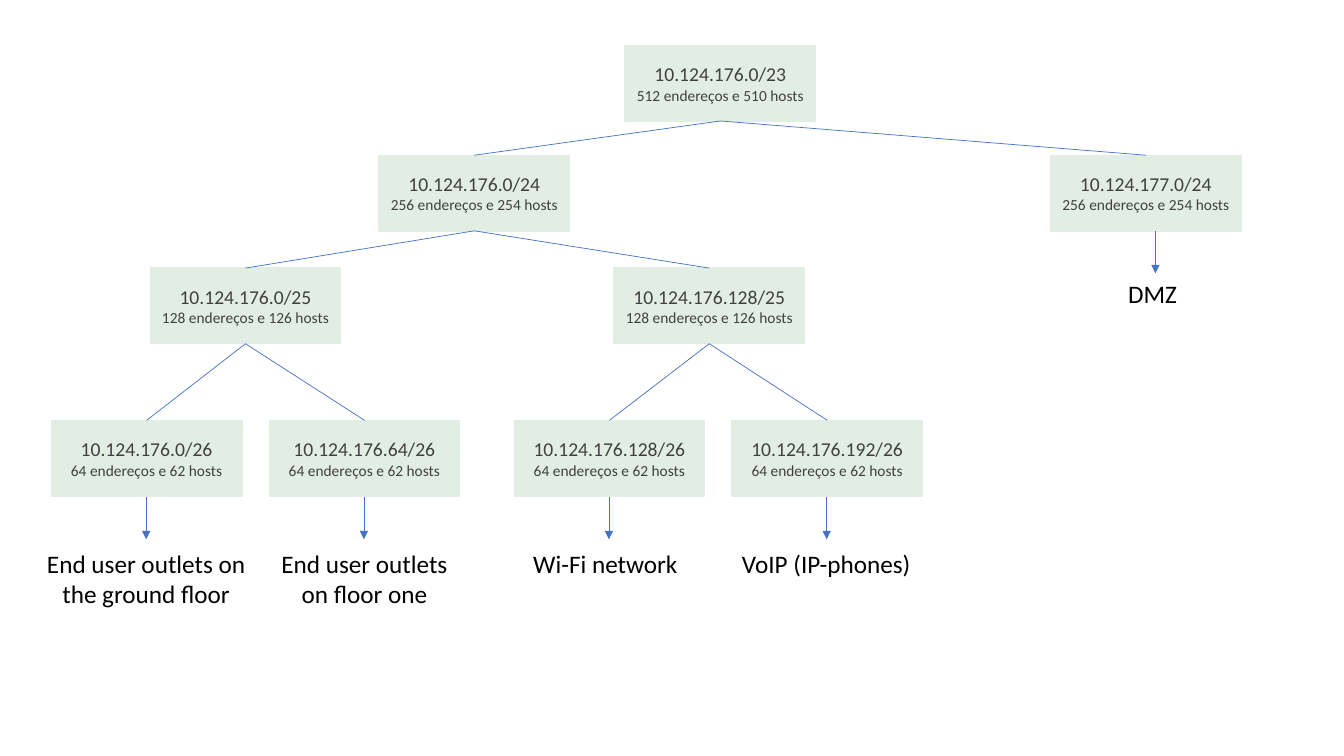
from lxml import etree
from pptx import Presentation
from pptx.dml.color import RGBColor
from pptx.enum.shapes import MSO_CONNECTOR as CONN, MSO_SHAPE as SHAPE
from pptx.enum.text import MSO_ANCHOR as ANCHOR, MSO_AUTO_SIZE as AUTO, PP_ALIGN as ALIGN
from pptx.oxml.ns import qn
from pptx.util import Inches, Pt

GREEN = RGBColor(0xE2, 0xEE, 0xE3)
GREY = RGBColor(0x40, 0x40, 0x40)
BLACK = RGBColor(0, 0, 0)
BLUE = RGBColor(0x44, 0x72, 0xC4)

BOX_W, BOX_H = 1.89, 0.75
ARROW_H = 0.42
TOP_SITE, BOTTOM_SITE = 0, 2


class SubnetSlide:
    font = "Calibri"

    def __init__(self, prs):
        self.shapes = prs.slides.add_slide(prs.slide_layouts[6]).shapes

    def set_text(self, p, text, size, color, align):
        p.text = text
        p.alignment = align
        p.font.name = self.font
        p.font.size = Pt(size)
        p.font.color.rgb = color

    def box(self, left, top, network, prefix):
        sp = self.shapes.add_shape(SHAPE.RECTANGLE, Inches(left), Inches(top),
                                   Inches(BOX_W), Inches(BOX_H))
        sp.shadow.inherit = False
        sp.fill.solid()
        sp.fill.fore_color.rgb = GREEN
        sp.line.color.rgb = GREEN
        sp.line.width = Pt(1)
        tf = sp.text_frame
        tf.word_wrap = True
        tf.vertical_anchor = ANCHOR.MIDDLE
        size = 2 ** (32 - prefix)
        self.set_text(tf.paragraphs[0], f"{network}/{prefix}", 14, GREY, ALIGN.CENTER)
        self.set_text(tf.add_paragraph(), f"{size} endereços e {size - 2} hosts",
                      11, GREY, ALIGN.CENTER)
        return sp

    def label(self, left, top, width, height, text, align):
        sp = self.shapes.add_textbox(Inches(left), Inches(top), Inches(width), Inches(height))
        tf = sp.text_frame
        tf.word_wrap = True
        tf.auto_size = AUTO.SHAPE_TO_FIT_TEXT
        self.set_text(tf.paragraphs[0], text, 18, BLACK, align)

    def line(self, x1=0, y1=0, x2=0, y2=0):
        cx = self.shapes.add_connector(CONN.STRAIGHT, Inches(x1), Inches(y1),
                                       Inches(x2), Inches(y2))
        cx.line.color.rgb = BLUE
        cx.line.width = Pt(0.5)
        etree.SubElement(cx._element.spPr, qn("a:effectLst"))
        return cx

    def branch(self, parent, child):
        cx = self.line()
        cx.begin_connect(parent, BOTTOM_SITE)
        cx.end_connect(child, TOP_SITE)

    def arrow(self, x, top):
        cx = self.line(x, top, x, top + ARROW_H)
        ln = cx._element.spPr.find(qn("a:ln"))
        etree.SubElement(ln, qn("a:tailEnd"), type="triangle")


LEVELS = [
    (23, 0.45, [("10.124.176.0", 6.2)]),
    (24, 1.54, [("10.124.176.0", 3.76), ("10.124.177.0", 10.42)]),
    (25, 2.66, [("10.124.176.0", 1.49), ("10.124.176.128", 6.09)]),
    (26, 4.17, [("10.124.176.0", 0.51), ("10.124.176.64", 2.67),
                ("10.124.176.128", 5.1), ("10.124.176.192", 7.26)]),
]
USES = [
    (1.45, 4.93, 0.35, 5.39, 2.2, 0.71, "End user outlets on the ground floor", ALIGN.CENTER),
    (3.61, 4.93, 2.61, 5.39, 2.01, 0.71, "End user outlets on floor one", ALIGN.CENTER),
    (6.04, 4.93, 5.19, 5.39, 1.7, 0.4, "Wi-Fi network", ALIGN.LEFT),
    (8.2, 4.93, 7.26, 5.39, 1.89, 0.4, "VoIP (IP-phones)", ALIGN.LEFT),
    (11.46, 2.29, 11.09, 2.71, 0.74, 0.4, "DMZ", ALIGN.LEFT),
]

prs = Presentation()
prs.slide_width, prs.slide_height = Inches(13.33), Inches(7.5)
s = SubnetSlide(prs)

parents = []
for prefix, top, networks in LEVELS:
    boxes = [s.box(left, top, network, prefix) for network, left in networks]
    if parents:
        for i, child in enumerate(boxes):
            s.branch(parents[i // 2], child)
    parents = boxes

for arrow_x, arrow_top, *label in USES:
    s.arrow(arrow_x, arrow_top)
    s.label(*label)

prs.save("out.pptx")
